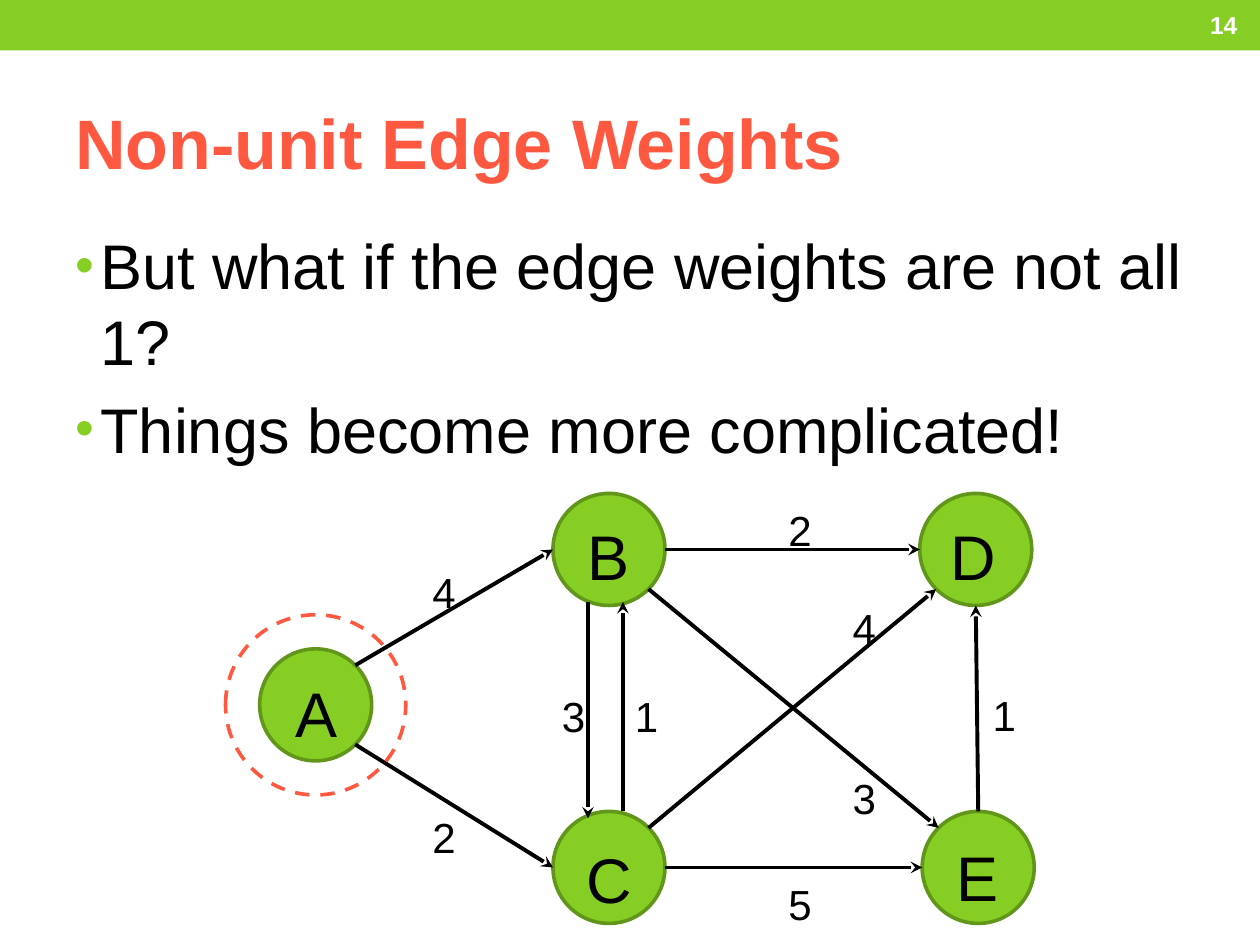
from lxml import etree
from pptx import Presentation
from pptx.dml.color import RGBColor
from pptx.enum.dml import MSO_LINE
from pptx.enum.shapes import MSO_CONNECTOR, MSO_SHAPE
from pptx.enum.text import MSO_ANCHOR, PP_ALIGN
from pptx.oxml.ns import qn
from pptx.util import Pt

GREEN, DARK_GREEN, CORAL = "86CE24", "61961A", "FF5840"
BLACK, WHITE = "000000", "FFFFFF"
RADIUS = 32
DIAGONAL = RADIUS * 0.707

# Node name: centre x, centre y, then the shift of the letter box
NODES = {
    "A": (180.4, 402.8, 0.3, 0),
    "B": (348, 314, 0, -0.7),
    "C": (348, 495.7, 0, 2),
    "D": (557.6, 314, -1.7, -0.7),
    "E": (559, 495.7, -0.3, 0.7),
}

# Where an edge meets a node, measured from the node's centre
PORTS = {
    "n": (0, -RADIUS), "s": (0, RADIUS), "w": (-RADIUS, 0), "e": (RADIUS, 0),
    "ne": (DIAGONAL, -DIAGONAL), "nw": (-DIAGONAL, -DIAGONAL),
    "se": (DIAGONAL, DIAGONAL), "sw": (-DIAGONAL, DIAGONAL),
    "s left": (-12, 30), "n left": (-12, -28),
    "s right": (8, 30), "n right": (8, -RADIUS),
}

# From, port, to, port, weight, left and top of the weight
EDGES = [
    ("A", "ne", "B", "w", "4", 240, 320.4),
    ("A", "se", "C", "w", "2", 240, 460),
    ("B", "s left", "C", "n left", "3", 314, 391),
    ("C", "n right", "B", "s right", "1", 355.7, 391),
    ("B", "e", "D", "w", "2", 443.5, 285),
    ("B", "se", "E", "nw", "3", 480.2, 437.8),
    ("E", "n", "D", "s", "1", 560.2, 390.2),
    ("C", "e", "E", "w", "5", 443.5, 498.2),
    ("C", "ne", "D", "sw", "4", 480.2, 340.6),
]


def color(value):
    return RGBColor.from_string(value)


def add_text(slide, box, lines, size, ink=BLACK, bold=False,
             align=PP_ALIGN.LEFT, anchor=MSO_ANCHOR.TOP):
    frame = slide.shapes.add_textbox(*map(Pt, box)).text_frame
    frame.word_wrap = True
    frame.vertical_anchor = anchor
    for i, line in enumerate(lines):
        paragraph = frame.add_paragraph() if i else frame.paragraphs[0]
        paragraph.alignment = align
        run = paragraph.add_run()
        run.text = line
        run.font.name, run.font.size, run.font.bold = "Arial", Pt(size), bold
        run.font.color.rgb = color(ink)
    return frame


def add_bullet(paragraph):
    props = paragraph._p.get_or_add_pPr()
    props.set("marL", str(Pt(14.4)))
    props.set("indent", str(-Pt(14.4)))
    tint = etree.SubElement(props, qn("a:buClr"))
    etree.SubElement(tint, qn("a:srgbClr"), val=GREEN)
    etree.SubElement(props, qn("a:buSzPct"), val="85000")
    etree.SubElement(props, qn("a:buFont"), typeface="Arial")
    etree.SubElement(props, qn("a:buChar"), char="•")


def add_figure(slide, preset, box, fill=None, line=None):
    shape = slide.shapes.add_shape(preset, *map(Pt, box))
    shape.shadow.inherit = False
    if fill:
        shape.fill.solid()
        shape.fill.fore_color.rgb = color(fill)
    else:
        shape.fill.background()
    if line:
        shape.line.color.rgb = color(line)
        shape.line.width = Pt(2.08)
    else:
        shape.line.fill.background()
    return shape


def add_circle(slide, x, y, radius, fill, line):
    box = (x - radius, y - radius, 2 * radius, 2 * radius)
    return add_figure(slide, MSO_SHAPE.OVAL, box, fill, line)


def add_node(slide, name):
    x, y, dx, dy = NODES[name]
    add_circle(slide, x, y, RADIUS, GREEN, DARK_GREEN)
    add_text(slide, (x - 21 + dx, y - 21 + dy, 42, 42), [name], 36,
             align=PP_ALIGN.CENTER)


def port_point(name, port):
    x, y = NODES[name][:2]
    dx, dy = PORTS[port]
    return Pt(x + dx), Pt(y + dy)


def add_edge(slide, start, start_port, end, end_port, weight, left, top):
    edge = slide.shapes.add_connector(
        MSO_CONNECTOR.STRAIGHT,
        *port_point(start, start_port), *port_point(end, end_port))
    edge.line.color.rgb = color(BLACK)
    edge.line.width = Pt(2.25)
    etree.SubElement(edge.line._get_or_add_ln(), qn("a:tailEnd"), type="stealth")
    etree.SubElement(edge._element.spPr, qn("a:effectLst"))
    add_text(slide, (left, top, 19.4, 29.5), [weight], 24)


def main():
    prs = Presentation()
    prs.slide_width, prs.slide_height = Pt(720), Pt(540)
    slide = prs.slides.add_slide(prs.slide_layouts[6])

    # Top band, title and page number
    add_figure(slide, MSO_SHAPE.RECTANGLE, (0, 0, 720, 28.8), GREEN)
    add_text(slide, (36, 41.8, 648, 77.8), ["Non-unit Edge Weights"], 40,
             CORAL, True, anchor=MSO_ANCHOR.MIDDLE)
    add_text(slide, (630, 1.4, 84.2, 26), ["14"], 14, WHITE, True,
             PP_ALIGN.RIGHT, MSO_ANCHOR.MIDDLE)

    # Bullets
    body = add_text(slide, (36, 126, 648, 383.8), [
        "But what if the edge weights are not all 1?",
        "Things become more complicated!",
    ], 36)
    body.paragraphs[1].space_before = Pt(7.2)
    for paragraph in body.paragraphs:
        add_bullet(paragraph)

    # Weighted graph
    for name in NODES:
        add_node(slide, name)
    for edge in EDGES:
        add_edge(slide, *edge)

    # Dashed ring around the start node
    ring = add_circle(slide, *NODES["A"][:2], 51.5, None, CORAL)
    ring.line.dash_style = MSO_LINE.DASH

    prs.save("out.pptx")


main()
